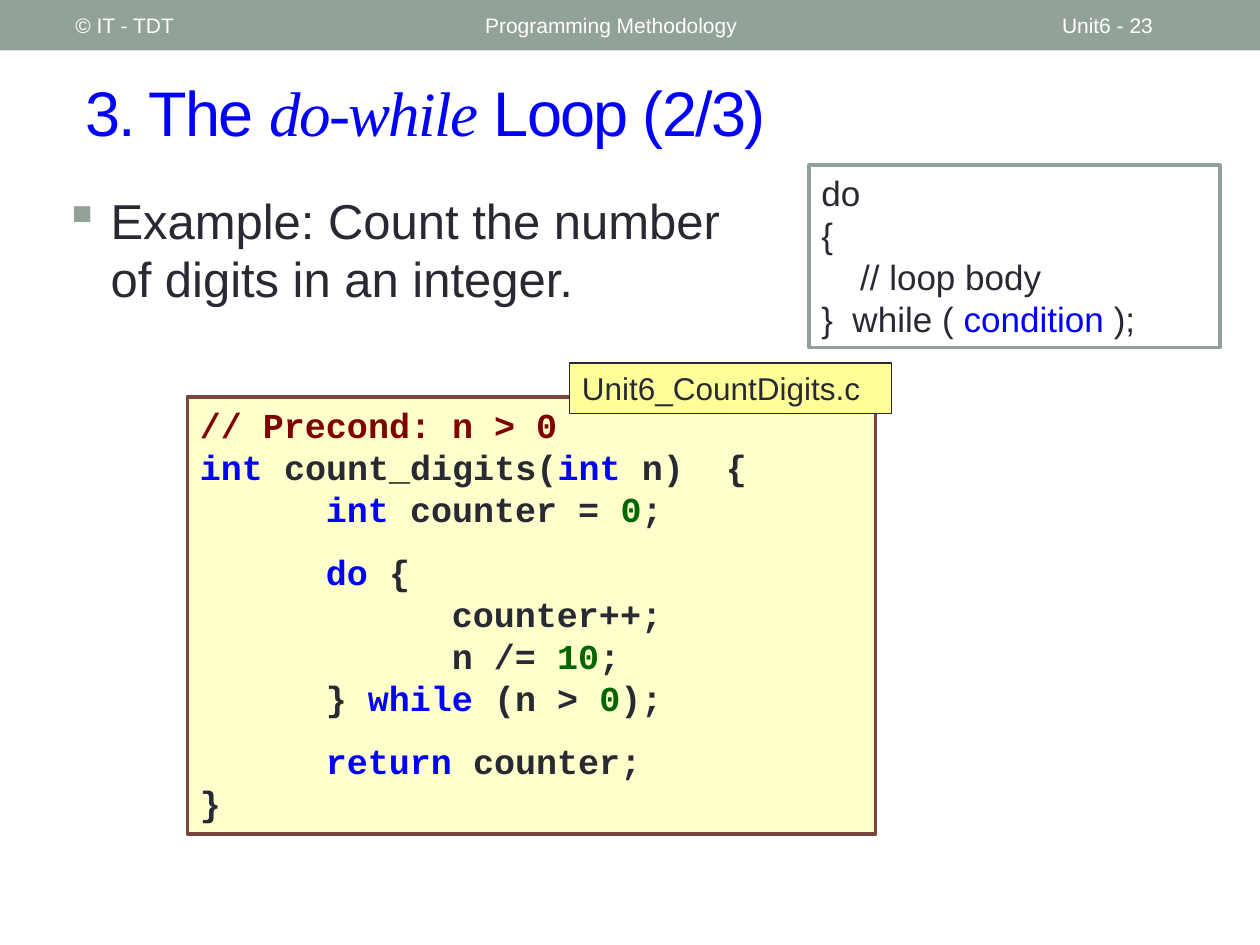
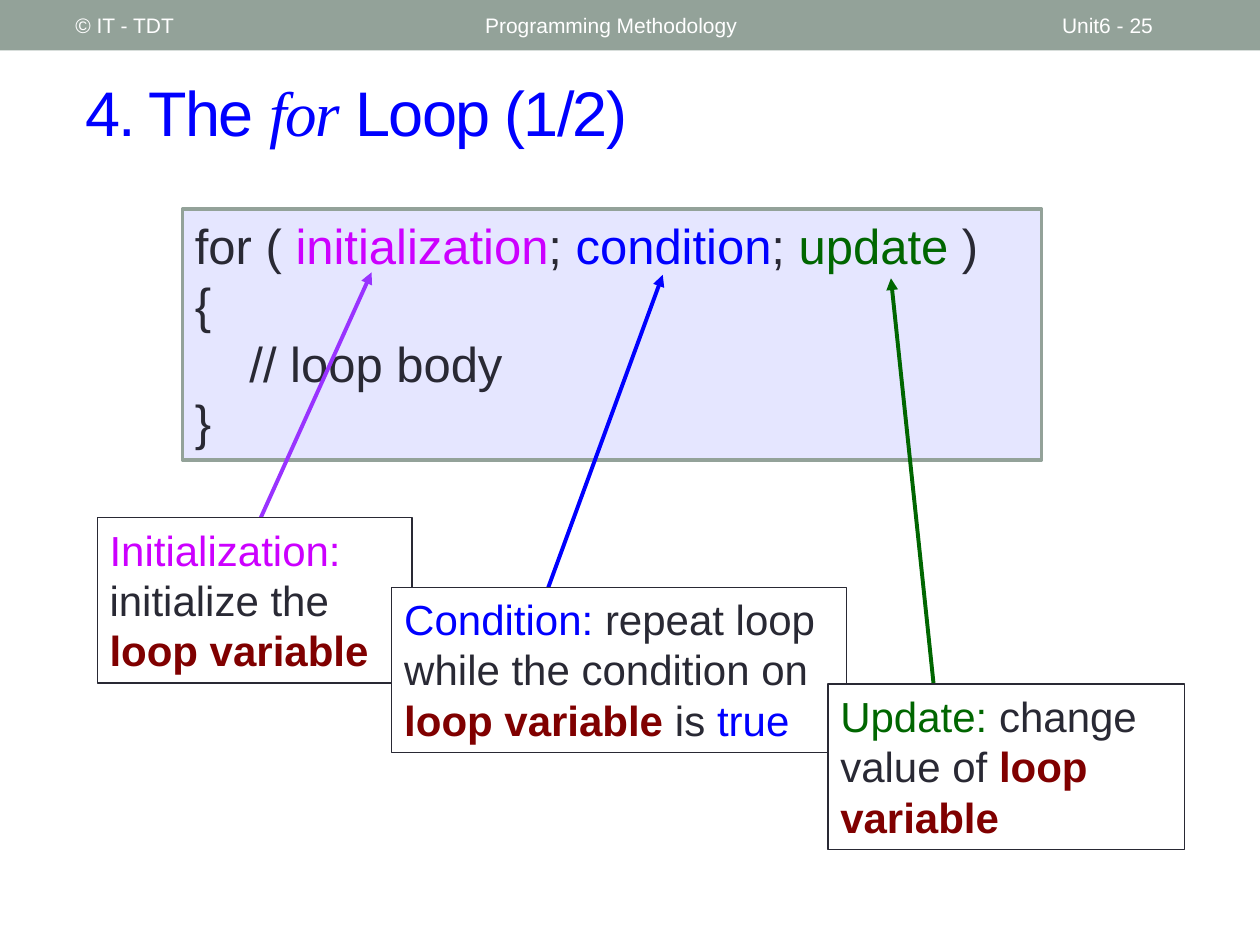
from dataclasses import dataclass

from lxml import etree
from pptx import Presentation
from pptx.dml.color import RGBColor
from pptx.enum.shapes import MSO_CONNECTOR, MSO_SHAPE
from pptx.enum.text import MSO_ANCHOR, PP_ALIGN
from pptx.oxml.ns import qn
from pptx.util import Cm, Pt

RECTANGLE = MSO_SHAPE.RECTANGLE
STRAIGHT = MSO_CONNECTOR.STRAIGHT
LEFT = PP_ALIGN.LEFT
TOP = MSO_ANCHOR.TOP
MIDDLE = MSO_ANCHOR.MIDDLE


@dataclass(frozen=True)
class Theme:
    """Colours, fonts and type sizes of the deck."""

    sage: str = "93A299"
    ink: str = "292934"
    white: str = "FFFFFF"
    blue: str = "0000FF"
    green: str = "006600"
    maroon: str = "800000"
    magenta: str = "CC00FF"
    violet: str = "9933FF"
    brown: str = "79463D"
    cream: str = "FFFFCC"
    yellow: str = "FFFF99"
    lavender: str = "E5E6FF"
    sans: str = "Arial"
    serif: str = "Times New Roman"
    mono: str = "Courier New"
    title_size: int = 36
    body_size: int = 28
    callout_size: int = 24
    code_size: int = 20
    label_size: int = 18
    band_size: int = 12
    leading: float = 1.2
    thick: float = 2.08
    thin: float = 0.75
    arrow: float = 2.25


THEME = Theme()
BLUE = {"color": THEME.blue}
GREEN = {"color": THEME.green}
MAGENTA = {"color": THEME.magenta}
COMMENT = {"color": THEME.maroon}
STRONG = {"color": THEME.maroon, "bold": True}


def add_span(para, text, *, size, color=THEME.ink, font=THEME.sans,
             bold=False, italic=False, tracking=0):
    """Append formatted text to a paragraph."""
    span = para.add_run()
    span.text = text
    span.font.size = Pt(size)
    span.font.name = font
    span.font.bold = bold
    span.font.italic = italic
    span.font.color.rgb = RGBColor.from_string(color)
    if tracking:
        span.font._element.set("spc", str(tracking * 100))


def set_indent(para, left, first=0):
    """Set the left margin and first-line indent in centimetres."""
    properties = para._p.get_or_add_pPr()
    properties.set("marL", str(Cm(left)))
    properties.set("indent", str(Cm(first)))


def set_bullet(para, symbol, color):
    """Give a paragraph a coloured bullet."""
    properties = para._p.get_or_add_pPr()
    bullet_color = etree.SubElement(properties, qn("a:buClr"))
    etree.SubElement(bullet_color, qn("a:srgbClr"), val=color)
    etree.SubElement(properties, qn("a:buChar"), char=symbol)


def write_lines(box, lines, *, size, anchor=TOP, **style):
    """Fill a box with lines, each an indent, a space before and its spans."""
    frame = box.text_frame
    frame.word_wrap = True
    frame.vertical_anchor = anchor
    for number, (indent, gap, spans) in enumerate(lines):
        para = frame.add_paragraph() if number else frame.paragraphs[0]
        para.alignment = LEFT
        para.line_spacing = Pt(size * THEME.leading)
        para.space_before = Pt(gap)
        set_indent(para, indent)
        for text, span_style in spans:
            add_span(para, text, **{"size": size, **style, **span_style})


def line(*spans, indent=0, gap=0):
    """Describe one line; a bare string is a span in the base style."""
    pairs = [(span, {}) if isinstance(span, str) else span for span in spans]
    return indent, gap, pairs


def add_text(page, place, lines, **style):
    """Add an unframed text box at left, top, width, height."""
    box = page.shapes.add_textbox(*map(Cm, place))
    write_lines(box, lines, **style)
    return box


def add_panel(page, place, fill, border=None, weight=THEME.thick):
    """Add a filled rectangle with an optional border."""
    panel = page.shapes.add_shape(RECTANGLE, *map(Cm, place))
    panel.shadow.inherit = False
    panel.fill.solid()
    panel.fill.fore_color.rgb = RGBColor.from_string(fill)
    if border:
        panel.line.color.rgb = RGBColor.from_string(border)
        panel.line.width = Pt(weight)
    else:
        panel.line.fill.background()
    return panel


def add_arrow(page, start, end, color):
    """Draw a straight arrow between two points."""
    arrow = page.shapes.add_connector(STRAIGHT, *map(Cm, start + end))
    arrow.line.color.rgb = RGBColor.from_string(color)
    arrow.line.width = Pt(THEME.arrow)
    properties = arrow._element.spPr
    etree.SubElement(properties.find(qn("a:ln")), qn("a:tailEnd"), type="triangle")
    etree.SubElement(properties, qn("a:effectLst"))


def add_callout(page, place, spans, start, end, color):
    """Add an explanation with an arrow to the term it explains."""
    add_arrow(page, start, end, color)
    box = add_panel(page, place, THEME.white, THEME.ink, THEME.thin)
    write_lines(box, [line(*spans)], size=THEME.callout_size)


def add_page(deck, number, before, keyword, after):
    """Add a page with its band, title and band texts."""
    page = deck.slides.add_slide(deck.slide_layouts[6])
    add_panel(page, (0, 0, 25.4, 1.02), THEME.sage)
    title = line(before, (keyword, {"font": THEME.serif, "italic": True}), after)
    add_text(page, (1.47, 1.07, 23.29, 2.34), [title], size=THEME.title_size,
             color=THEME.blue, tracking=-1, anchor=MIDDLE)
    for left, width, text in (
        (9.53, 11.43, "Programming Methodology"),
        (21.16, 2.97, f"Unit6 - {number}"),
        (1.27, 8.05, "© IT - TDT"),
    ):
        add_text(page, (left, 0.05, width, 0.91), [line(text)],
                 size=THEME.band_size, color=THEME.white, anchor=MIDDLE)
    return page


def build_do_while(deck):
    """Build the do-while example page."""
    page = add_page(deck, 23, "3. The ", "do-while", " Loop (2/3)")
    example = add_text(
        page, (1.04, 3.71, 14.15, 3.05),
        [line("Example: Count the number of digits in an integer.", gap=6)],
        size=THEME.body_size)
    para = example.text_frame.paragraphs[0]
    set_indent(para, 0.94, -0.94)
    set_bullet(para, "▪", THEME.sage)

    syntax = add_panel(page, (16.31, 3.33, 8.28, 3.68), THEME.white, THEME.sage)
    write_lines(syntax, [
        line("do"),
        line("{"),
        line("// loop body", indent=0.78),
        line("}  while ( ", ("condition", BLUE), " );"),
    ], size=THEME.code_size)

    step = 2.54
    blank = THEME.code_size * THEME.leading / 2
    code = add_panel(page, (3.78, 8, 13.87, 8.81), THEME.cream, THEME.brown)
    write_lines(code, [
        line(("// Precond: n > 0", COMMENT)),
        line(("int ", BLUE), "count_digits(", ("int ", BLUE), "n)  {"),
        line(("int", BLUE), " counter = ", ("0", GREEN), ";", indent=step),
        line(("do ", BLUE), "{", indent=step, gap=blank),
        line("counter++;", indent=2 * step),
        line("n /= ", ("10", GREEN), ";", indent=2 * step),
        line("} ", ("while", BLUE), " (n > ", ("0", GREEN), ");", indent=step),
        line(("return", BLUE), " counter;", indent=step, gap=blank),
        line("}"),
    ], size=THEME.code_size, font=THEME.mono, bold=True)

    file_label = add_panel(page, (11.48, 7.32, 6.5, 1.02), THEME.yellow,
                           THEME.ink, THEME.thin)
    write_lines(file_label, [line("Unit6_CountDigits.c")], size=THEME.label_size)


def build_for(deck):
    """Build the for-loop syntax page."""
    page = add_page(deck, 25, "4. The ", "for", " Loop (1/2)")
    syntax = add_panel(page, (3.68, 4.22, 17.32, 5.05), THEME.lavender, THEME.sage)
    write_lines(syntax, [
        line("for ( ", ("initialization", MAGENTA), "; ", ("condition", BLUE),
             "; ", ("update", GREEN), " )"),
        line("{"),
        line("// loop body", indent=1.1),
        line("}"),
    ], size=THEME.body_size)

    add_callout(page, (1.96, 10.44, 6.35, 3.33),
                [("Initialization: ", MAGENTA), "initialize the ",
                 ("loop variable", STRONG)],
                (5.21, 10.54), (7.49, 5.49), THEME.violet)
    add_callout(page, (7.9, 11.84, 9.17, 3.33),
                [("Condition: ", BLUE), "repeat loop while the condition on ",
                 ("loop variable ", STRONG), "is ", ("true", BLUE)],
                (10.72, 12.75), (13.36, 5.54), THEME.blue)
    add_callout(page, (16.69, 13.79, 7.19, 3.33),
                [("Update: ", GREEN), "change value of ",
                 ("loop variable", STRONG)],
                (18.82, 13.79), (17.96, 5.61), THEME.green)


def main():
    """Build and save the deck."""
    deck = Presentation()
    deck.slide_width = Cm(25.4)
    deck.slide_height = Cm(19.05)
    build_do_while(deck)
    build_for(deck)
    deck.save("out.pptx")


if __name__ == "__main__":
    main()
